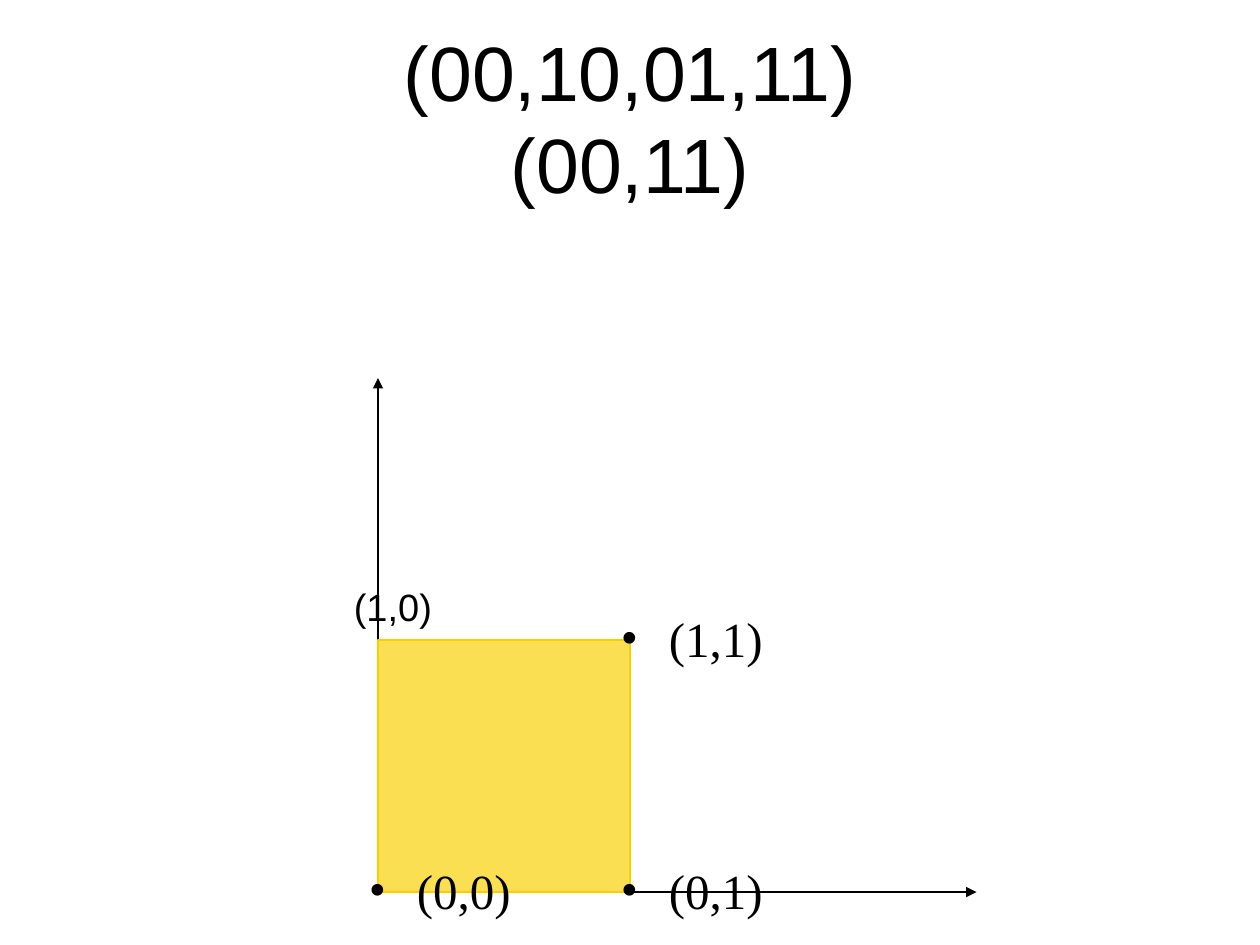
from lxml.etree import SubElement
from pptx import Presentation
from pptx.dml.color import RGBColor
from pptx.enum.shapes import MSO_CONNECTOR, MSO_SHAPE
from pptx.enum.text import MSO_ANCHOR, MSO_AUTO_SIZE, PP_ALIGN
from pptx.oxml.ns import qn
from pptx.util import Inches, Pt

BLACK = RGBColor(0x00, 0x00, 0x00)
YELLOW = RGBColor(0xFB, 0xDF, 0x53)
GOLD = RGBColor(0xFF, 0xCC, 0x00)

TITLE = "(00,10,01,11)\v(00,11)"
ORIGIN_X, ORIGIN_Y = 3, 7.08
UNIT = 2
AXIS_ENDS = [(ORIGIN_X, 3), (7.75, ORIGIN_Y)]
# label, steps right, steps up, box height
CORNERS = [("(1,1)", 1, 1, 0.25), ("(0,1)", 1, 0, 0.25), ("(0,0)", 0, 0, 0.33)]
LABEL_DX, LABEL_DY = -0.17, -0.25


def write(sp, text, *, size, font="Arial", align=PP_ALIGN.LEFT,
          anchor=MSO_ANCHOR.TOP, spacing=1.0, bullet=False):
    tf = sp.text_frame
    tf.word_wrap = True
    tf.auto_size = MSO_AUTO_SIZE.NONE
    tf.vertical_anchor = anchor
    p = tf.paragraphs[0]
    p.text = text
    p.alignment = align
    p.line_spacing = spacing
    if bullet:
        pPr = p._p.get_or_add_pPr()
        pPr.set("marL", str(Inches(0.38)))
        pPr.set("indent", str(Inches(-0.38)))
        SubElement(pPr, qn("a:buFont"), typeface=font)
        SubElement(pPr, qn("a:buChar"), char="•")
    for r in p.runs:
        r.font.size = Pt(size)
        r.font.name = font
        r.font.color.rgb = BLACK


def add_axis(s, end_x, end_y):
    axis = s.shapes.add_connector(
        MSO_CONNECTOR.STRAIGHT, Inches(ORIGIN_X), Inches(ORIGIN_Y),
        Inches(end_x), Inches(end_y))
    axis.line.color.rgb = BLACK
    axis.line.width = Pt(0.75)
    SubElement(axis.line._get_or_add_ln(), qn("a:tailEnd"), type="triangle")
    SubElement(axis._element.spPr, qn("a:effectLst"))


def add_box(s, x, y, w, h):
    return s.shapes.add_textbox(Inches(x), Inches(y), Inches(w), Inches(h))


prs = Presentation()
prs.slide_width, prs.slide_height = Inches(10), Inches(7.5)
s = prs.slides.add_slide(prs.slide_layouts[5])

title = s.shapes.title
title.left, title.top = Inches(0.5), Inches(0.3)
title.width, title.height = Inches(9), Inches(1.25)
write(title, TITLE, size=44, align=PP_ALIGN.CENTER, anchor=MSO_ANCHOR.MIDDLE)

for end in AXIS_ENDS:
    add_axis(s, *end)

square = s.shapes.add_shape(
    MSO_SHAPE.RECTANGLE, Inches(ORIGIN_X), Inches(ORIGIN_Y - UNIT),
    Inches(UNIT), Inches(UNIT))
square.shadow.inherit = False
square.fill.solid()
square.fill.fore_color.rgb = YELLOW
square.line.color.rgb = GOLD
square.line.width = Pt(0.75)

for label, right, up, height in CORNERS:
    box = add_box(s, ORIGIN_X + right * UNIT + LABEL_DX,
                  ORIGIN_Y - up * UNIT + LABEL_DY, 1.75, height)
    write(box, label, size=28, font="Times New Roman", spacing=0.9, bullet=True)

write(add_box(s, 2.71, 4.68, 1.85, 0.37), "(1,0)", size=21.7, spacing=0.7)

prs.save("out.pptx")
